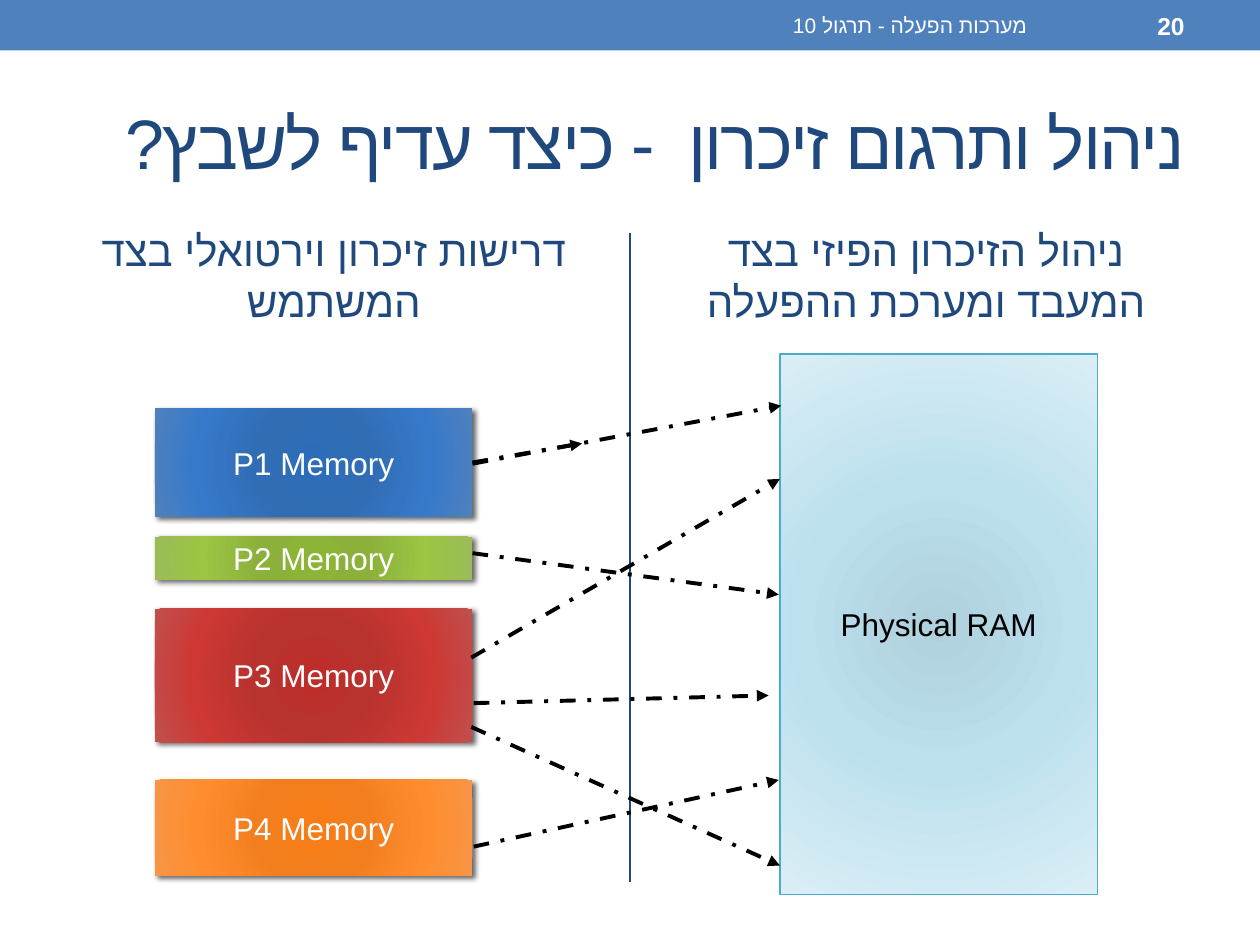
from pptx import Presentation
from pptx.dml.color import RGBColor
from pptx.enum.dml import MSO_LINE
from pptx.enum.shapes import MSO_CONNECTOR, MSO_SHAPE
from pptx.enum.text import MSO_ANCHOR, PP_ALIGN
from pptx.oxml.ns import qn
from pptx.util import Pt
from lxml.etree import SubElement

HEX = {"bar": "4F81BD", "navy": "1F497D", "white": "FFFFFF",
       "black": "000000", "edge": "4BACC6"}
# Gradient stops, from the centre outwards: percent and colour
GRADS = {
    "P1": [(0, "2C6CB9"), (34, "316DB5"), (70, "3679CA"), (100, "4F81BD")],
    "P2": [(0, "8CB537"), (34, "8BB13B"), (70, "9BC542"), (100, "9BBB59")],
    "P3": [(0, "BD2D29"), (34, "B8322E"), (70, "CD3834"), (100, "C0504D")],
    "P4": [(0, "F97D16"), (34, "F27E1E"), (70, "FF8D30"), (100, "F79646")],
    "RAM": [(0, "AFD0DD"), (45, "BCE0EE"), (100, "DAEEF6")],
}


def color(name):
    return RGBColor.from_string(HEX[name])


class Deck:
    font = "Arial"

    def __init__(self, width, height):
        self.prs = Presentation()
        self.prs.slide_width, self.prs.slide_height = Pt(width), Pt(height)
        self.slide = self.prs.slides.add_slide(self.prs.slide_layouts[6])

    def put(self, shape, text, size, ink, align, bold=False, rtl=False, space=None):
        frame = shape.text_frame
        frame.word_wrap = True
        frame.vertical_anchor = MSO_ANCHOR.MIDDLE
        para = frame.paragraphs[0]
        para.alignment = align
        run = para.add_run()
        run.text = text
        run.font.name, run.font.size, run.font.bold = self.font, Pt(size), bold
        run.font.color.rgb = color(ink)
        props = run._r.get_or_add_rPr()
        if rtl:
            para._p.get_or_add_pPr().set("rtl", "1")
            props.set("lang", "he-IL")
            SubElement(props, qn("a:cs"), typeface=self.font)
        if space:
            props.set("spc", str(space * 100))

    def label(self, box, text, size, ink, align=PP_ALIGN.RIGHT, bold=False, space=None):
        shape = self.slide.shapes.add_textbox(*map(Pt, box))
        self.put(shape, text, size, ink, align, bold, True, space)

    def rect(self, box):
        shape = self.slide.shapes.add_shape(MSO_SHAPE.RECTANGLE, *map(Pt, box))
        shape.shadow.inherit = False
        shape.line.fill.background()
        return shape

    def band(self, box, fill):
        shape = self.rect(box)
        shape.fill.solid()
        shape.fill.fore_color.rgb = color(fill)

    def block(self, box, text, stops, ink, edge=None):
        shape = self.rect(box)
        self.glow(shape, stops)
        if edge:
            shape.line.color.rgb = color(edge)
            shape.line.width = Pt(0.75)
        else:
            self.shade(shape)
        self.put(shape, text, 18, ink, PP_ALIGN.CENTER)

    def glow(self, shape, stops):
        shape.fill.gradient()
        grad = shape._element.spPr.find(qn("a:gradFill"))
        for child in list(grad):
            grad.remove(child)
        group = SubElement(grad, qn("a:gsLst"))
        for place, tone in stops:
            stop = SubElement(group, qn("a:gs"), pos=str(place * 1000))
            SubElement(stop, qn("a:srgbClr"), val=tone)
        round_ = SubElement(grad, qn("a:path"), {"path": "circle"})
        SubElement(round_, qn("a:fillToRect"), {side: "100000" for side in "ltrb"})

    def shade(self, shape):
        effect = shape._element.spPr.find(qn("a:effectLst"))
        outer = SubElement(effect, qn("a:outerShdw"), blurRad=str(Pt(3)),
                           dist=str(Pt(2)), dir="2700000", rotWithShape="0")
        tone = SubElement(outer, qn("a:srgbClr"), val=HEX["black"])
        SubElement(tone, qn("a:alpha"), val="60000")

    def line(self, start, end, ink, width):
        link = self.slide.shapes.add_connector(
            MSO_CONNECTOR.STRAIGHT, *map(Pt, (*start, *end)))
        link.line.color.rgb = color(ink)
        link.line.width = Pt(width)
        SubElement(link._element.spPr, qn("a:effectLst"))
        return link

    def arrow(self, start, end):
        link = self.line(start, end, "black", 2.25)
        link.line.dash_style = MSO_LINE.DASH_DOT
        stroke = link._element.spPr.find(qn("a:ln"))
        SubElement(stroke, qn("a:tailEnd"), type="triangle")


def main():
    deck = Deck(720, 540)

    # Top bar and centre divider
    deck.band((0, 0, 720, 28.8), "bar")
    deck.line((360, 133.2), (360, 504), "navy", 1.5)

    # Title and column heads
    deck.label((36, 42, 648, 78), "ניהול ותרגום זיכרון  - כיצד עדיף לשבץ?",
               40, "navy", space=-1)
    heads = ["דרישות זיכרון וירטואלי בצד המשתמש",
             "ניהול הזיכרון הפיזי בצד המעבד ומערכת ההפעלה"]
    for col, head in enumerate(heads):
        deck.label((36 + col * 338.4, 132, 309.6, 50.4), head, 24, "navy",
                   PP_ALIGN.CENTER)

    # Course name and page number
    deck.label((270, 1.5, 324, 26), "מערכות הפעלה - תרגול 10", 12, "white")
    deck.label((600, 1.5, 84, 26), "20", 14, "white", bold=True)

    # Process memory: top and height of each block
    rows = {"P1": (233.3, 62), "P2": (306.7, 24.5),
            "P3": (347.8, 76.3), "P4": (445.7, 54.7)}
    for name, (top, tall) in rows.items():
        deck.block((88.5, top, 181.5, tall), f"{name} Memory", GRADS[name], "white")

    # Physical memory
    deck.block((445.7, 202.3, 181.4, 308.9), "Physical RAM", GRADS["RAM"],
               "black", "edge")

    # Mapping arrows
    links = [((270, 264.3), (332.6, 253.4)), ((270, 316.1), (445, 339.8)),
             ((270.7, 401.8), (439.2, 397.4)), ((270.7, 483.8), (445, 445.7)),
             ((269.3, 375.8), (445.7, 273.6)), ((269.3, 415.4), (445.7, 494.6)),
             ((270, 265), (446.4, 231.8))]
    for start, end in links:
        deck.arrow(start, end)

    deck.prs.save("out.pptx")


if __name__ == "__main__":
    main()
